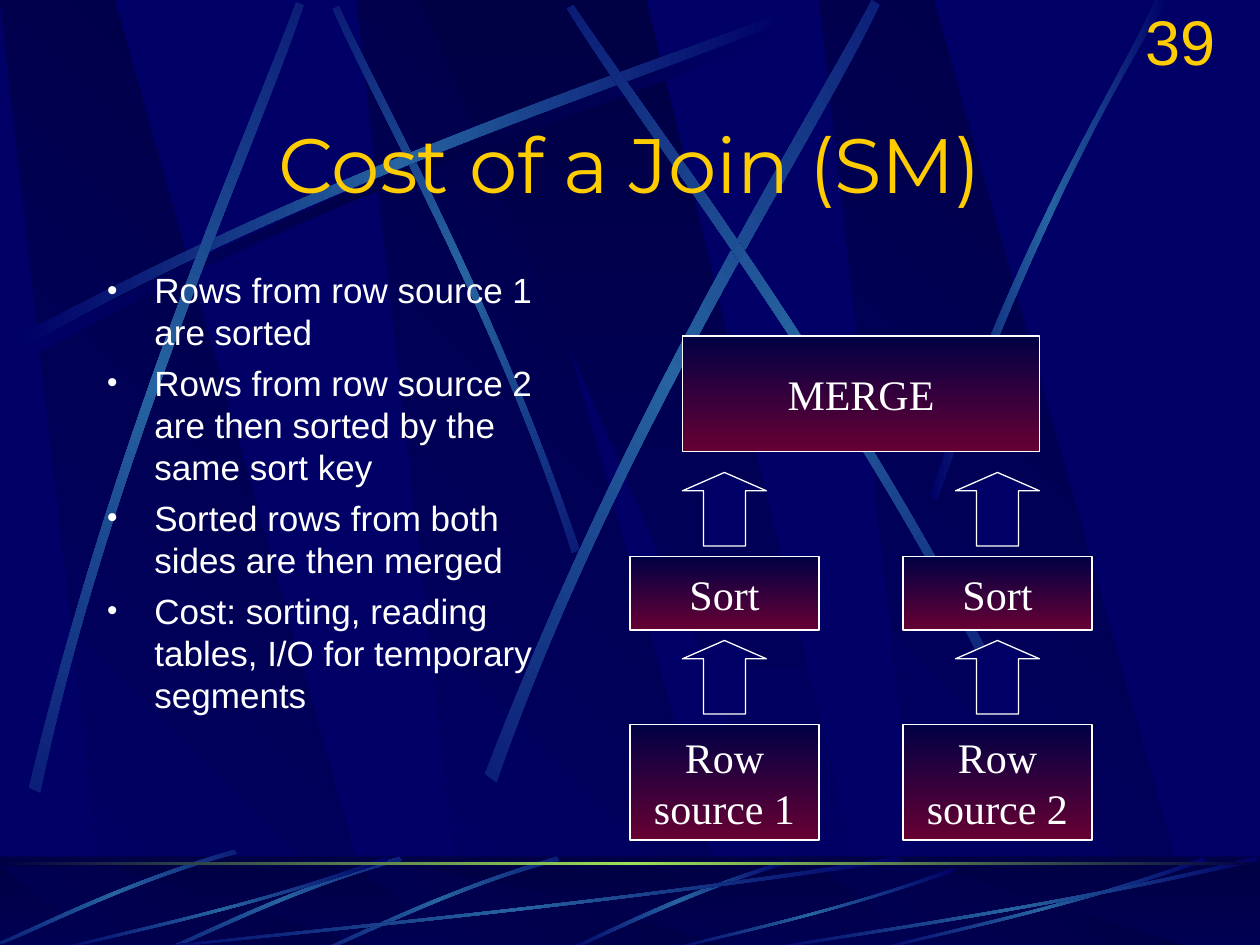
from copy import deepcopy
from math import cos, radians, sin

from lxml.etree import SubElement
from pptx import Presentation
from pptx.dml.color import RGBColor
from pptx.enum.shapes import MSO_SHAPE as Shape
from pptx.enum.text import MSO_ANCHOR as Anchor, MSO_AUTO_SIZE as AutoSize, PP_ALIGN as Align
from pptx.oxml.ns import qn
from pptx.util import Pt

rgb = RGBColor.from_string
NAVY, BLUE, SKY, WINE = "000044", "000066", "2663A0", "660033"
WHITE, GOLD, LIME = "FFFFFF", "FFCC00", "9CE157"
BEAM_COLORS = (BLUE, SKY, BLUE)


def paint_gradient(shape, colors, angle):
    shape.shadow.inherit = False
    shape.line.fill.background()
    shape.fill.gradient()
    shape.fill.gradient_angle = 360 - angle
    stop_list = next(shape.element.iter(qn("a:gsLst")))
    while len(stop_list) < len(colors):
        stop_list.append(deepcopy(stop_list[-1]))
    for index, (stop, color) in enumerate(zip(shape.fill.gradient_stops, colors)):
        stop.color.rgb = rgb(color)
        stop.position = index / (len(colors) - 1)


def draw_outline(points, colors, angle, rotation=0):
    turn = complex(cos(radians(rotation)), sin(radians(rotation)))
    local = [complex(x, y) * turn.conjugate() for x, y in points]
    xs, ys = [p.real for p in local], [p.imag for p in local]
    middle = complex(min(xs) + max(xs), min(ys) + max(ys)) / 2
    shift = middle * turn - middle
    corners = [(Pt((p + shift).real), Pt((p + shift).imag)) for p in local]
    builder = slide.shapes.build_freeform(*corners[0], scale=1.0)
    builder.add_line_segments(corners[1:], close=True)
    shape = builder.convert_to_shape()
    shape.rotation = rotation
    paint_gradient(shape, colors, angle)
    return shape


presentation = Presentation()
presentation.slide_width, presentation.slide_height = Pt(720), Pt(540)
slide = presentation.slides.add_slide(presentation.slide_layouts[1])
master = presentation.slide_master
master.background.fill.solid()
master.background.fill.fore_color.rgb = rgb(BLUE)
title, body = slide.placeholders

long_beam = [(10.1, 192.2), (200.2, 90), (373, 36.7), (446.4, 7.2),
             (448.6, 11.5), (375.8, 43.9), (178.6, 103), (12.2, 199.4)]
upper_beams = [
    (0, (BLUE, NAVY, BLUE), [(x + 4.3, y + 5.8) for x, y in long_beam]),
    (45, BEAM_COLORS, [(331.2, 313.9), (281.5, 168.5), (217.4, 55.4), (193.7, 3.6),
                       (190.1, 5), (212.4, 56.9), (286.6, 185.8), (326.9, 316.1)]),
    (0, BEAM_COLORS, long_beam),
    (311.7, BEAM_COLORS, [(16.6, 450), (67, 240.5), (141.8, 75.6), (169.2, 1.4),
                          (173.5, 2.9), (149, 77.8), (61.9, 265), (23, 452.9)]),
    (321.6, BEAM_COLORS, [(277.2, 442.1), (358.6, 230.4), (459.4, 73.4), (498.2, 0),
                          (502.6, 2.9), (467.3, 77.8), (349.9, 255.6), (283.7, 447.1)]),
    (34.8, BEAM_COLORS, [(580.3, 403.2), (482.4, 211), (371.5, 68.4), (327.6, 2.9),
                         (324, 5), (365, 72.7), (493.2, 234), (575.3, 407.5)]),
    (0, BEAM_COLORS, [(531.4, 283), (586.1, 124.6), (639.4, 47.5), (660.2, 0),
                      (667.4, 0), (601.9, 104.4), (553.7, 231.8), (535.7, 285.8)]),
]

short_beam = [(318.2, 489.6), (255.6, 507.6), (206.6, 532.8), (184.3, 542.2),
              (185, 543.6), (207.4, 535), (262.8, 506.2), (319.7, 491.8)]
unit_ray = [(1, 0.04), (0.57, 0.57), (0.17, 0.85), (0.01, 1),
            (0, 0.99), (0.17, 0.81), (0.62, 0.51), (0.99, 0)]
lower_beams = [
    (0, BEAM_COLORS, [(451.4, 491), (386.6, 510.5), (343.4, 534.2), (322.6, 542.9),
                      (326.2, 543.6), (352.8, 530.6), (411.1, 504), (452.2, 493.2)]),
]
for shift_x, shift_y in ((0, 0), (90, 0), (184.3, 4)):
    lower_beams.append((314.9, BEAM_COLORS, [(x - shift_x, y - shift_y) for x, y in short_beam]))
for left, width, top in ((72, 444, 489.6), (30, 192, 489.6), (379.5, 166, 496),
                         (498, 192, 489.6), (432, 288, 489.6)):
    lower_beams.append((0, BEAM_COLORS, [(left + x * width, top + y * (543.6 - top)) for x, y in unit_ray]))

for top, bottom, beams in ((0, 541, upper_beams), (495.4, 543, lower_beams)):
    if top:
        floor = slide.shapes.add_shape(Shape.RECTANGLE, 0, Pt(489.6), Pt(720), Pt(54))
        paint_gradient(floor, (NAVY, BLUE), 90)
    for left in (203.8, 0, 468):
        draw_outline([(left + 62, bottom), (left + 217.4, bottom), (left + 65.5, top), (left, top)],
                     (NAVY, BLUE), 135)
    draw_outline([(240, top), (473.8, bottom), (499.7, bottom), (369.4, top)], (NAVY, BLUE), 90)
    if top:
        veil = slide.shapes.add_shape(Shape.RECTANGLE, 0, Pt(489), Pt(720), Pt(54))
        veil.shadow.inherit = False
        veil.line.fill.background()
        veil.fill.solid()
        veil.fill.fore_color.rgb = rgb(NAVY)
        SubElement(next(veil.element.spPr.iter(qn("a:srgbClr"))), qn("a:alpha"), val="50000")
    for rotation, colors, controls in beams:
        beam = draw_outline(controls, colors, 180, rotation)
        segments = list(beam.element.iter(qn("a:lnTo")))
        for first in (0, 4):
            curve = segments[first]
            curve.tag = qn("a:cubicBezTo")
            for segment in segments[first + 1:first + 3]:
                curve.append(segment[0])
                segment.getparent().remove(segment)

horizon = slide.shapes.add_shape(Shape.RECTANGLE, 0, Pt(492.8), Pt(720), Pt(1.5))
paint_gradient(horizon, (NAVY, LIME, NAVY), 180)

scenery = slide.shapes.add_group_shape([shape for shape in slide.shapes if not shape.is_placeholder])
for number, properties in enumerate(scenery.element.iter(qn("p:cNvPr")), start=100):
    properties.set("id", str(number))
master.shapes.element.insert(2, scenery.element)

for placeholder, left, top, width, height in ((title, 54, 62.6, 612, 60.5), (body, 54, 150, 282, 324)):
    frame = {"left": Pt(left), "top": Pt(top), "width": Pt(width), "height": Pt(height)}
    for name, value in frame.items():
        setattr(placeholder, name, value)

bullets = "\n".join((
    "Rows from row source 1 are sorted",
    "Rows from row source 2 are then sorted by the same sort key",
    "Sorted rows from both sides are then merged",
    "Cost: sorting, reading tables, I/O for temporary segments",
))
texts = [
    (title, "Cost of a Join (SM)", Anchor.MIDDLE, True, {"alignment": Align.CENTER},
     {"name": "Montserrat", "size": Pt(44)}, GOLD),
    (body, bullets, Anchor.TOP, True, {"alignment": Align.LEFT, "space_before": Pt(5)},
     {"name": "Arial", "size": Pt(20)}, WHITE),
]
for text, left, top, width, height in (
    ("Row\nsource 1", 360, 414, 108, 66),
    ("Row\nsource 2", 516, 414, 108, 66),
    ("Sort", 360, 318, 108, 42),
    ("Sort", 516, 318, 108, 42),
    ("MERGE", 390, 192, 204, 66),
):
    box = slide.shapes.add_shape(Shape.RECTANGLE, Pt(left), Pt(top), Pt(width), Pt(height))
    paint_gradient(box, (NAVY, WINE), 90)
    box.line.color.rgb = rgb(WHITE)
    box.line.width = Pt(0.75)
    texts.append((box, text, Anchor.MIDDLE, False, {"alignment": Align.CENTER},
                  {"name": "Times New Roman", "size": Pt(24)}, WHITE))

for top in (366, 270):
    for left in (390, 546):
        arrow = slide.shapes.add_shape(Shape.UP_ARROW, Pt(left), Pt(top), Pt(48), Pt(42))
        arrow.adjustments[0], arrow.adjustments[1] = 0.5, 0.25
        arrow.shadow.inherit = False
        arrow.fill.solid()
        arrow.fill.fore_color.rgb = rgb(BLUE)
        arrow.line.color.rgb = rgb(WHITE)
        arrow.line.width = Pt(0.75)

page_number = slide.shapes.add_textbox(Pt(552), Pt(12), Pt(150), Pt(36))
texts.append((page_number, "39", Anchor.BOTTOM, True, {"alignment": Align.RIGHT},
              {"name": "Arial", "size": Pt(36)}, GOLD))

for shape, text, anchor, wrap, paragraph_format, font_format, color in texts:
    frame = shape.text_frame
    frame.text = text
    frame.auto_size, frame.vertical_anchor, frame.word_wrap = AutoSize.NONE, anchor, wrap
    for paragraph in frame.paragraphs:
        for name, value in paragraph_format.items():
            setattr(paragraph, name, value)
        if shape is body:
            properties = paragraph._p.get_or_add_pPr()
            properties.set("marL", str(Pt(27)))
            properties.set("indent", str(Pt(-27)))
            bullet_color = SubElement(properties, qn("a:buClr"))
            SubElement(bullet_color, qn("a:srgbClr"), val=WHITE)
            SubElement(properties, qn("a:buSzPct"), val="85000")
            SubElement(properties, qn("a:buFont"), typeface="Arial")
            SubElement(properties, qn("a:buChar"), char="•")
        for name, value in font_format.items():
            setattr(paragraph.runs[0].font, name, value)
        paragraph.runs[0].font.color.rgb = rgb(color)
    frame.paragraphs[0].space_before = Pt(0)

presentation.save("out.pptx")
